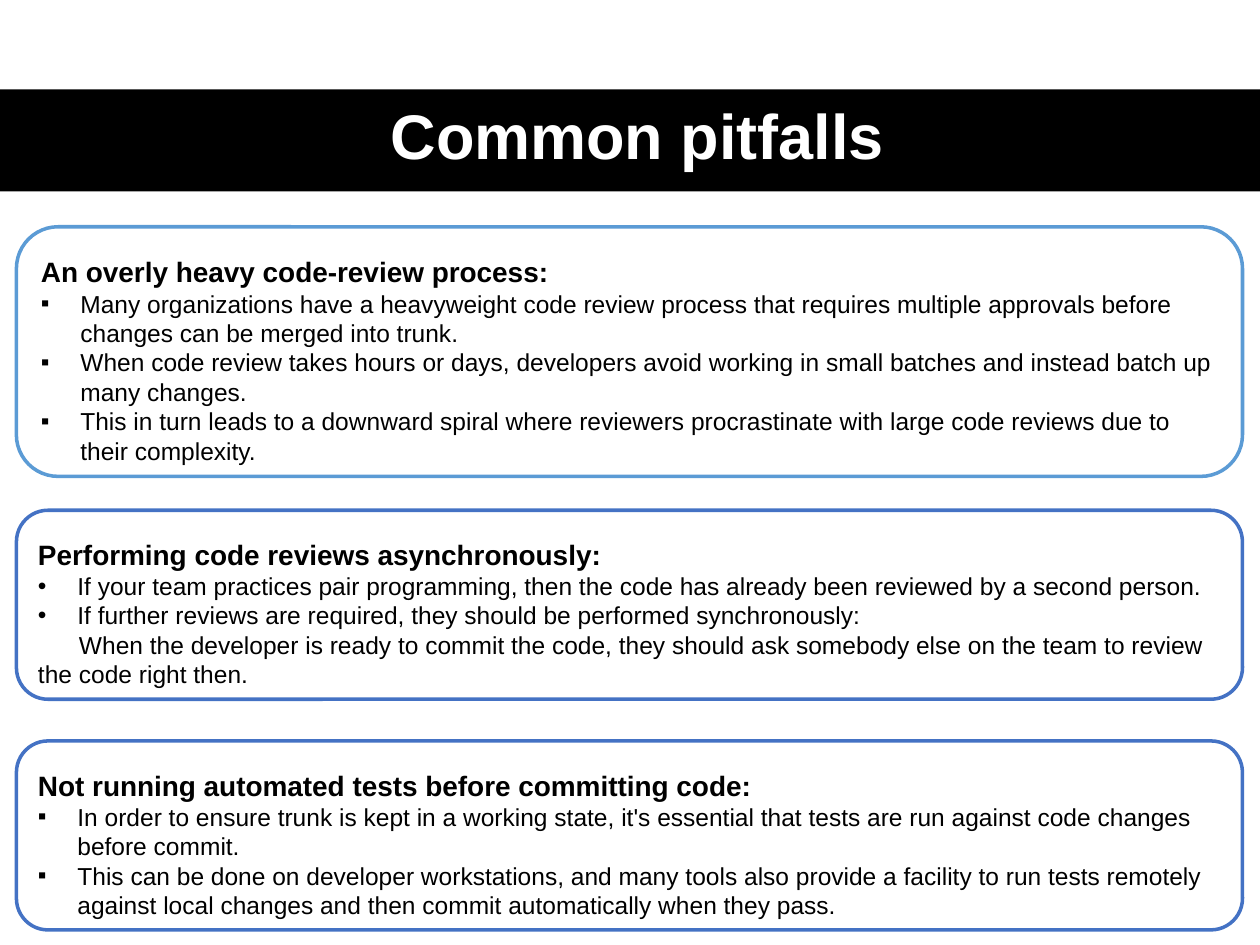
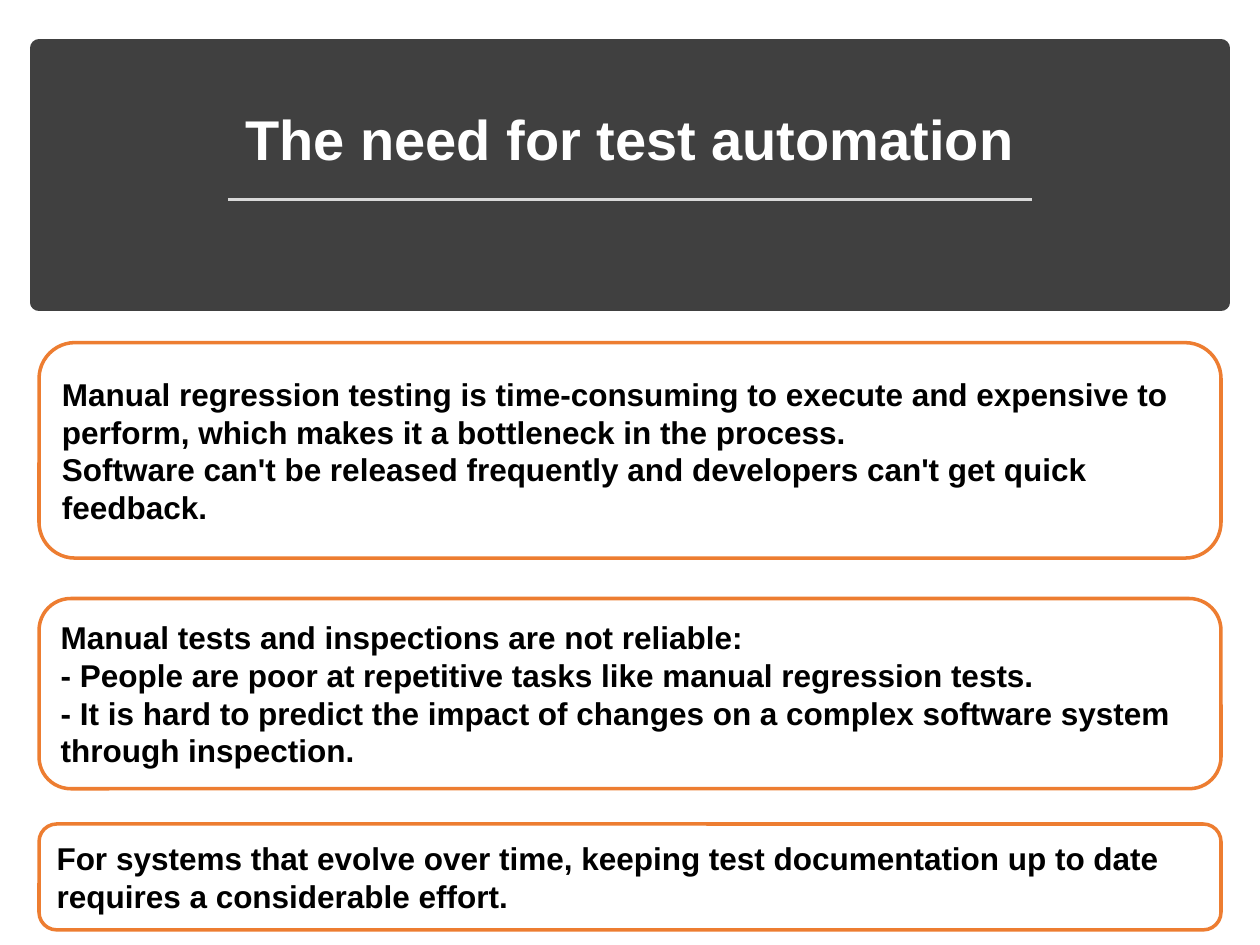
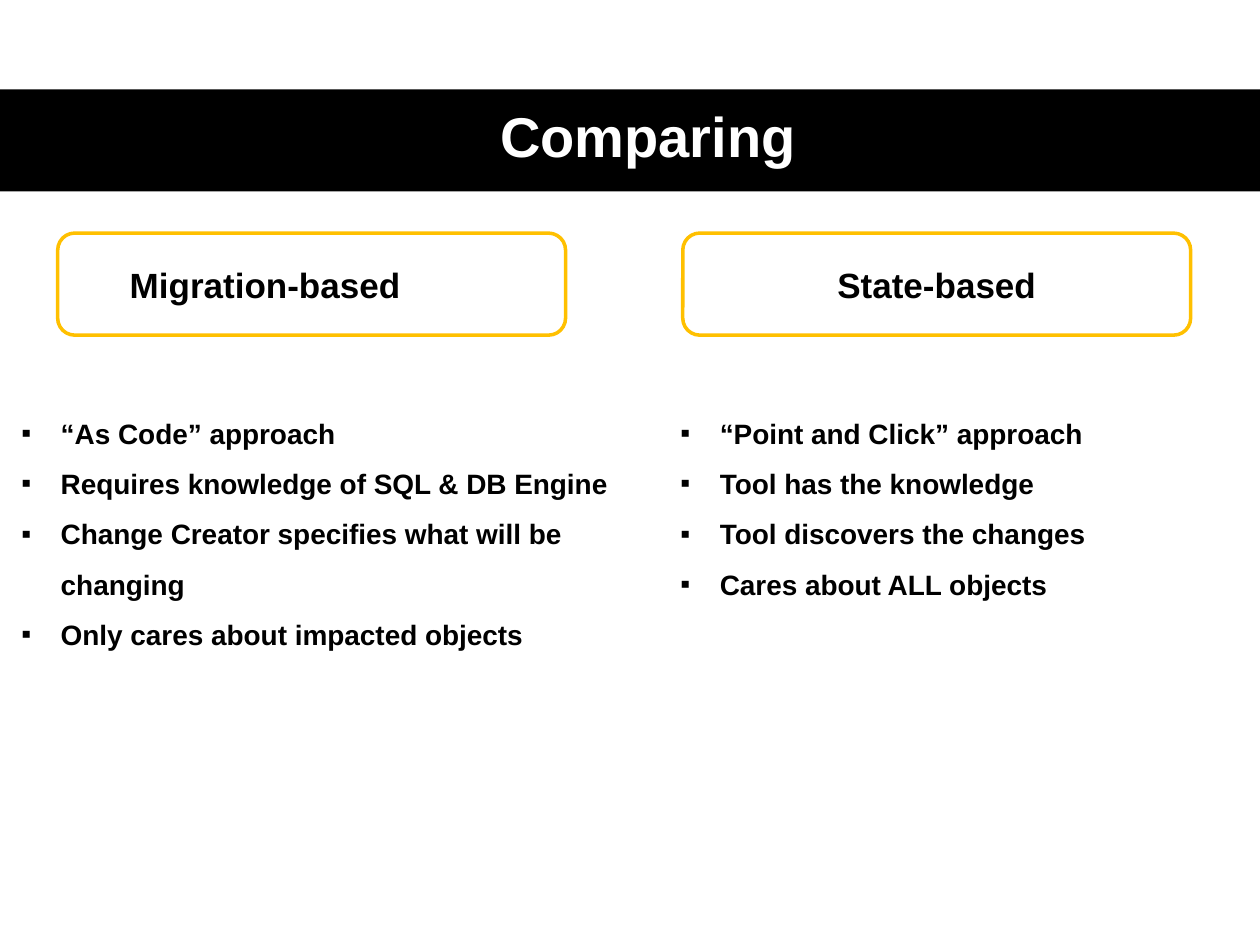
from lxml import etree
from pptx import Presentation
from pptx.dml.color import RGBColor
from pptx.enum.shapes import MSO_CONNECTOR, MSO_SHAPE
from pptx.enum.text import MSO_ANCHOR, MSO_AUTO_SIZE, PP_ALIGN
from pptx.oxml.ns import qn
from pptx.util import Pt

RECTANGLE = MSO_SHAPE.RECTANGLE
ROUNDED = MSO_SHAPE.ROUNDED_RECTANGLE
STRAIGHT = MSO_CONNECTOR.STRAIGHT
TOP, MIDDLE, BOTTOM = MSO_ANCHOR.TOP, MSO_ANCHOR.MIDDLE, MSO_ANCHOR.BOTTOM
LEFT, CENTER = PP_ALIGN.LEFT, PP_ALIGN.CENTER
NO_FIT = MSO_AUTO_SIZE.NONE

TITLE_ONLY, TWO_CONTENT = 5, 3
FONT = "Arial"
BLACK, WHITE, CHARCOAL, SILVER = "000000", "FFFFFF", "404040", "D9D9D9"
SKY, BLUE, ORANGE, GOLD = "5B9BD5", "4472C4", "ED7D31", "FFC000"
SQUARE, DOT = "▪", "•"
BULLET_INDENT = 22.5
TITLE_AREA = (33, 50.4, 662.4, 58.3)

HEADING = {"size": 16, "bold": True, "line_spacing": 1.5}
SQUARE_ITEM = {"size": 14, "bullet": SQUARE}
DOT_ITEM = {"size": 14, "bullet": DOT}
INDENTED = {"size": 14, "first_indent": 23.4}
STATEMENT = {"size": 18, "bold": True}
COLUMN_HEAD = {"size": 20, "bold": True, "alignment": CENTER}
COLUMN_ITEM = {"size": 16, "bold": True, "bullet": SQUARE, "line_spacing": 1.5}

PITFALLS = [
    (129.6, 142.6, SKY, [
        ("An overly heavy code-review process:", HEADING),
        ("Many organizations have a heavyweight code review process that requires "
         "multiple approvals before changes can be merged into trunk.", SQUARE_ITEM),
        ("When code review takes hours or days, developers avoid working in small "
         "batches and instead batch up many changes.", SQUARE_ITEM),
        ("This in turn leads to a downward spiral where reviewers procrastinate with "
         "large code reviews due to their complexity.", SQUARE_ITEM),
    ]),
    (291.6, 108, BLUE, [
        ("Performing code reviews asynchronously:", HEADING),
        ("If your team practices pair programming, then the code has already been "
         "reviewed by a second person.", DOT_ITEM),
        ("If further reviews are required, they should be performed synchronously:",
         DOT_ITEM),
        ("When the developer is ready to commit the code, they should ask somebody "
         "else on the team to review the code right then.", INDENTED),
    ]),
    (423.4, 108, BLUE, [
        ("Not running automated tests before committing code:", HEADING),
        ("In order to ensure trunk is kept in a working state, it's essential that "
         "tests are run against code changes before commit.", SQUARE_ITEM),
        ("This can be done on developer workstations, and many tools also provide a "
         "facility to run tests remotely against local changes and then commit "
         "automatically when they pass.", SQUARE_ITEM),
    ]),
]

REASONS = [
    (195.8, 123.1, [
        "Manual regression testing is time-consuming to execute and expensive to "
        "perform, which makes it a bottleneck in the process.",
        "Software can't be released frequently and developers can't get quick feedback.",
    ]),
    (342, 108.7, [
        "Manual tests and inspections are not reliable:",
        "- People are poor at repetitive tasks like manual regression tests.",
        "- It is hard to predict the impact of changes on a complex software system "
        "through inspection.",
    ]),
    (470.9, 60.5, [
        "For systems that evolve over time, keeping test documentation up to date "
        "requires a considerable effort.",
    ]),
]

APPROACHES = [
    ("Migration-based", 33, 60.2, 5, 355, [
        "“As Code” approach",
        "Requires knowledge of SQL & DB Engine",
        "Change Creator specifies what will be changing",
        "Only cares about impacted objects",
    ]),
    ("State-based", 390.2, 7.2, 381.6, 307.4, [
        "“Point and Click” approach",
        "Tool has the knowledge",
        "Tool discovers the changes",
        "Cares about ALL objects",
    ]),
]


def color(value):
    return RGBColor.from_string(value)


def set_values(target, values):
    for name, value in values.items():
        setattr(target, name, value)


class Deck:
    def __init__(self):
        self.presentation = Presentation()
        set_values(self.presentation, {"slide_width": Pt(720), "slide_height": Pt(540)})
        self.slide = None

    def new_slide(self, layout):
        layouts = self.presentation.slide_layouts
        self.slide = self.presentation.slides.add_slide(layouts[layout])

    def place(self, shape, area):
        names = ("left", "top", "width", "height")
        set_values(shape, {name: Pt(value) for name, value in zip(names, area)})

    def bullet(self, paragraph, character):
        properties = paragraph._p.get_or_add_pPr()
        properties.set("marL", str(Pt(BULLET_INDENT)))
        properties.set("indent", str(-Pt(BULLET_INDENT)))
        bullet_color = etree.SubElement(properties, qn("a:buClr"))
        etree.SubElement(bullet_color, qn("a:srgbClr"), val=BLACK)
        etree.SubElement(properties, qn("a:buFont"), typeface=FONT)
        etree.SubElement(properties, qn("a:buChar"), char=character)

    def fill_text(self, shape, lines, anchor=MIDDLE, text_color=BLACK, right_inset=7.2):
        frame = shape.text_frame
        set_values(frame, {"word_wrap": True, "auto_size": NO_FIT,
                           "vertical_anchor": anchor, "margin_right": Pt(right_inset)})
        for index, (text, style) in enumerate(lines):
            paragraph = frame.add_paragraph() if index else frame.paragraphs[0]
            if "bullet" in style:
                self.bullet(paragraph, style["bullet"])
            if "first_indent" in style:
                paragraph._p.get_or_add_pPr().set("indent", str(Pt(style["first_indent"])))
            set_values(paragraph, {"alignment": style.get("alignment", LEFT),
                                   "line_spacing": style.get("line_spacing", 1.0),
                                   "space_before": Pt(0)})
            run = paragraph.add_run()
            run.text = text
            set_values(run.font, {"name": FONT, "size": Pt(style["size"]),
                                  "bold": style.get("bold", False)})
            run.font.color.rgb = color(text_color)

    def title(self, text, size, area=TITLE_AREA, anchor=MIDDLE):
        shape = self.slide.shapes.title
        self.place(shape, area)
        style = {"size": size, "bold": True, "alignment": CENTER, "line_spacing": 0.9}
        self.fill_text(shape, [(text, style)], anchor, WHITE)
        return shape

    def shape(self, kind, area, fill, line=None, line_width=2):
        shape = self.slide.shapes.add_shape(kind, *map(Pt, area))
        shape.shadow.inherit = False
        shape.fill.solid()
        shape.fill.fore_color.rgb = color(fill)
        if line:
            shape.line.color.rgb = color(line)
            shape.line.width = Pt(line_width)
        else:
            shape.line.fill.background()
        return shape

    def backdrop(self, area, fill, line=None, line_width=0):
        shape = self.shape(RECTANGLE, area, fill, line, line_width)
        self.slide.shapes._spTree.insert(2, shape._element)

    def band(self):
        self.backdrop((0, 51.1, 720, 58.3), BLACK)

    def box(self, area, line, lines, right_inset=7.2):
        shape = self.shape(ROUNDED, area, WHITE, line)
        self.fill_text(shape, lines, right_inset=right_inset)

    def rule(self, left, right, top, line, width):
        connector = self.slide.shapes.add_connector(
            STRAIGHT, Pt(left), Pt(top), Pt(right), Pt(top))
        connector.line.color.rgb = color(line)
        connector.line.width = Pt(width)
        etree.SubElement(connector._element.spPr, qn("a:effectLst"))

    def bullet_list(self, placeholder, area, items):
        shape = self.slide.placeholders[placeholder]
        self.place(shape, area)
        self.fill_text(shape, [(item, COLUMN_ITEM) for item in items], TOP)


def pitfalls_slide(deck):
    deck.new_slide(TITLE_ONLY)
    deck.band()
    deck.title("Common pitfalls", 36)
    for top, height, line, lines in PITFALLS:
        deck.box((9.4, top, 700.6, height), line, lines)


def automation_slide(deck):
    deck.new_slide(TITLE_ONLY)
    deck.backdrop((22.3, 27.4, 675.4, 145.4), CHARCOAL, CHARCOAL, 10)
    deck.title("The need for test automation", 32, (31, 38.9, 658, 63.4), BOTTOM)
    deck.rule(130.3, 589.7, 113.8, SILVER, 1.75)
    for top, height, texts in REASONS:
        deck.box((22.3, top, 675.4, height), ORANGE,
                 [(text, STATEMENT) for text in texts])


def comparing_slide(deck):
    deck.new_slide(TWO_CONTENT)
    deck.band()
    title = deck.title("Comparing", 32)
    title.text_frame.margin_left = Pt(19.4)
    for index, approach in enumerate(APPROACHES, 1):
        heading, left, right_inset, list_left, list_width, items = approach
        deck.box((left, 133.2, 290.2, 58.3), GOLD, [(heading, COLUMN_HEAD)], right_inset)
        deck.bullet_list(index, (list_left, 224.6, list_width, 173.5), items)


def main():
    deck = Deck()
    pitfalls_slide(deck)
    automation_slide(deck)
    comparing_slide(deck)
    deck.presentation.save("out.pptx")


if __name__ == "__main__":
    main()
